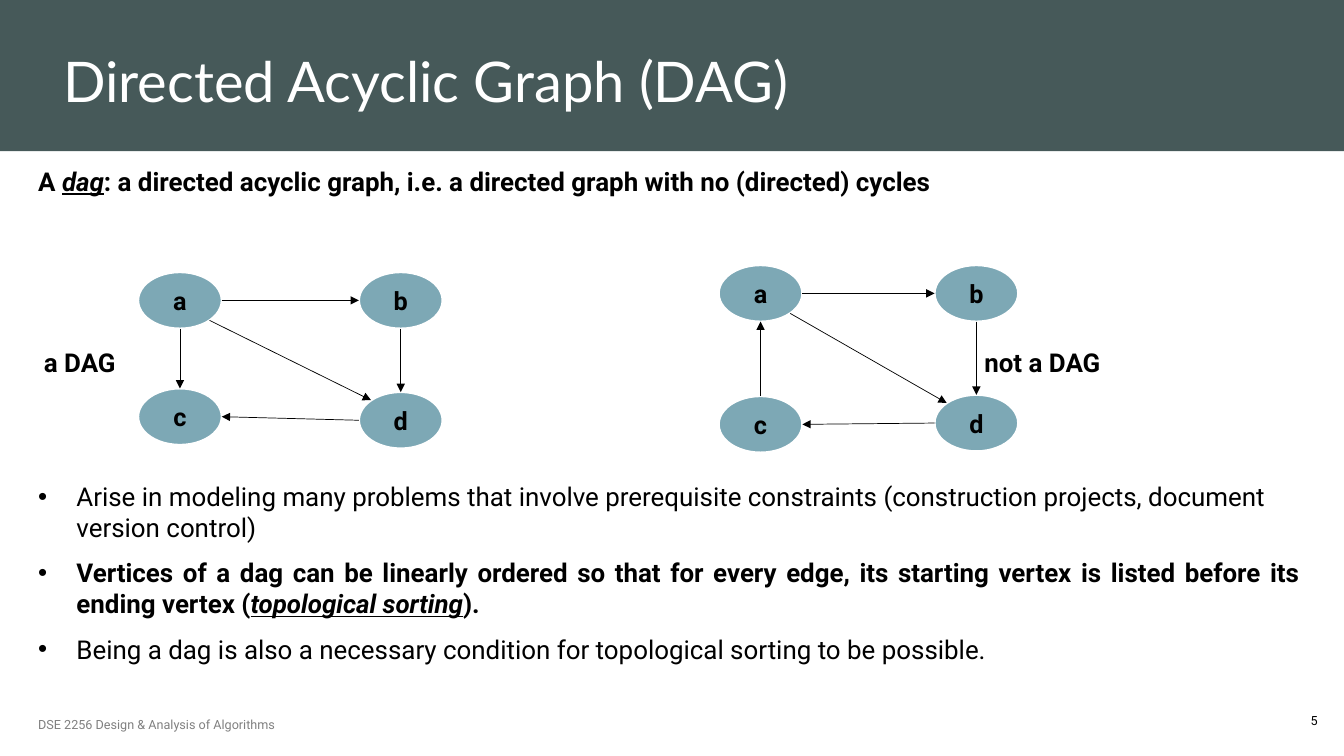
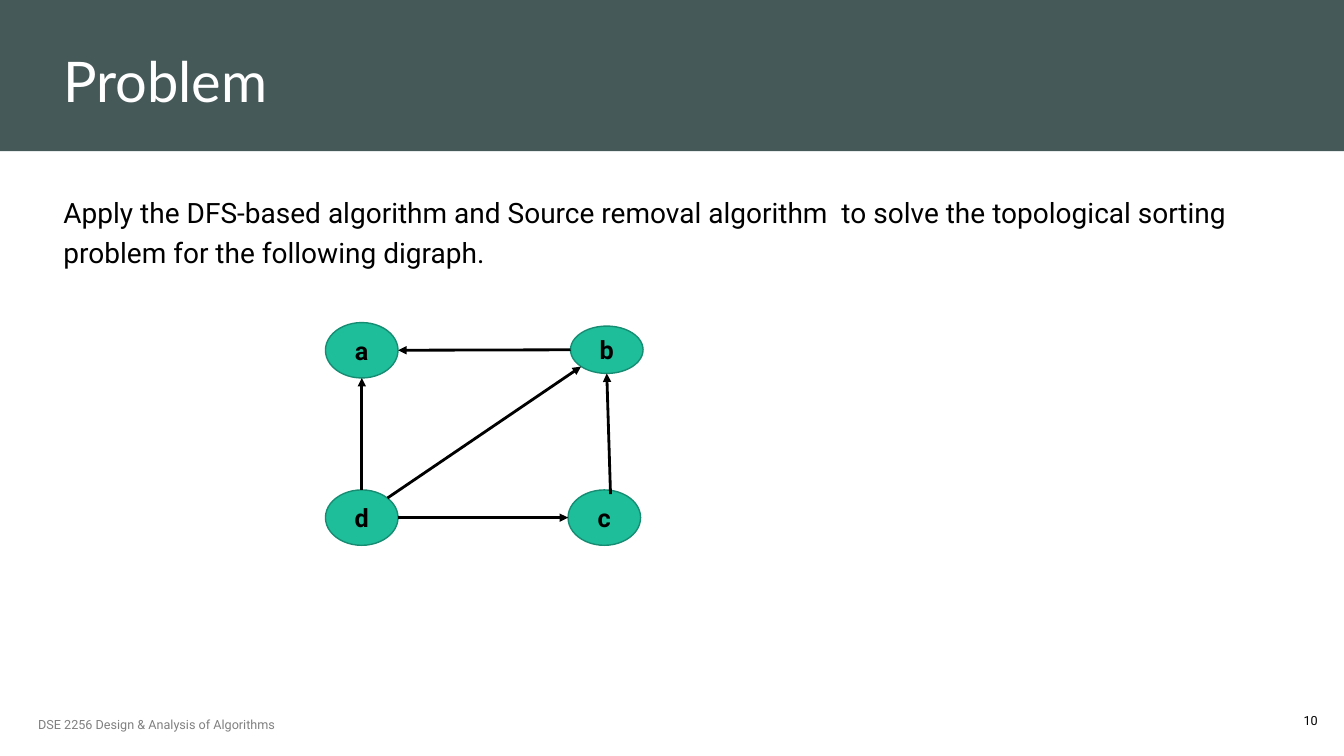
from typing import NamedTuple

from lxml import etree
from pptx import Presentation
from pptx import util as u
from pptx.dml.color import RGBColor
from pptx.enum import shapes, text
from pptx.oxml.ns import qn

WIDE, HIGH = u.Inches(13.33), u.Inches(7.5)

SLATE = RGBColor(0x46, 0x59, 0x59)
WHITE = RGBColor(0xFF, 0xFF, 0xFF)
BLACK = RGBColor(0x00, 0x00, 0x00)
GREY = RGBColor(0x80, 0x80, 0x80)
BLUE = RGBColor(0x7D, 0xA8, 0xB5)
GREEN = RGBColor(0x1E, 0xBE, 0x9B)
PINE = RGBColor(0x16, 0x8D, 0x73)

HEAD, BODY = "Lato", "Roboto"
COURSE = "DSE 2256 Design & Analysis of Algorithms"

LEFT, CENTER, RIGHT, FULL = (
    text.PP_ALIGN.LEFT, text.PP_ALIGN.CENTER,
    text.PP_ALIGN.RIGHT, text.PP_ALIGN.JUSTIFY)
TOP, MID, LOW = (
    text.MSO_ANCHOR.TOP, text.MSO_ANCHOR.MIDDLE, text.MSO_ANCHOR.BOTTOM)

# Points on an oval, as shares of its half width and half height
DIAG = 0.71
SITES = {
    "n": (0, -1), "s": (0, 1), "w": (-1, 0), "e": (1, 0),
    "nw": (-DIAG, -DIAG), "ne": (DIAG, -DIAG),
    "sw": (-DIAG, DIAG), "se": (DIAG, DIAG),
    "nne": (0.17, -0.85),
}


class Box(NamedTuple):
    """Lengths in percent of the slide's width and height."""
    x: float
    y: float
    w: float
    h: float

    def emu(self):
        return (u.Emu(int(self.x * WIDE / 100)), u.Emu(int(self.y * HIGH / 100)),
                u.Emu(int(self.w * WIDE / 100)), u.Emu(int(self.h * HIGH / 100)))

    def inner(self, col, row, w, h):
        """Place a w by h box at shares col and row of the free space."""
        return Box(self.x + col * (self.w - w), self.y + row * (self.h - h), w, h)


class Look(NamedTuple):
    """Style of a graph: node size, fill, outline and edge weight."""
    w: float
    h: float
    fill: RGBColor
    rim: RGBColor
    rim_pt: float
    edge_pt: float


DAG = Look(6.22, 7.47, BLUE, WHITE, 1.5, 0.5)
TASK = Look(5.4, 7.33, GREEN, PINE, 1, 2)


def style(run, size, color=BLACK, face=BODY, marks=""):
    """Format a run; marks holds any of b, i and u."""
    font = run.font
    font.size, font.name = u.Pt(size), face
    font.color.rgb = color
    font.bold, font.italic, font.underline = (m in marks for m in "biu")


def fill_par(par, parts, size, align=LEFT, **kw):
    """Write (text, marks) parts into a paragraph."""
    par.alignment = align
    for words, marks in parts:
        run = par.add_run()
        run.text = words
        style(run, size, marks=marks, **kw)


def add_text(slide, box, parts, size, align=LEFT, anchor=TOP, **kw):
    frame = slide.shapes.add_textbox(*box.emu()).text_frame
    frame.word_wrap = True
    frame.vertical_anchor = anchor
    fill_par(frame.paragraphs[0], parts, size, align, **kw)
    return frame


def add_list(slide, box, items, size):
    """Add a bulleted list of (alignment, parts) items."""
    frame = slide.shapes.add_textbox(*box.emu()).text_frame
    frame.word_wrap = True
    for i, (align, parts) in enumerate(items):
        par = frame.add_paragraph() if i else frame.paragraphs[0]
        fill_par(par, parts, size, align)
        par.space_before = u.Pt(10)
        props = par._p.get_or_add_pPr()
        props.set("marL", str(u.Inches(0.38)))
        props.set("indent", str(-u.Inches(0.38)))
        etree.SubElement(props, qn("a:buFont")).set("typeface", "Arial")
        etree.SubElement(props, qn("a:buChar")).set("char", "•")


def add_node(group, box, name, look):
    oval = group.shapes.add_shape(shapes.MSO_SHAPE.OVAL, *box.emu())
    oval.shadow.inherit = False
    oval.fill.solid()
    oval.fill.fore_color.rgb = look.fill
    oval.line.color.rgb = look.rim
    oval.line.width = u.Pt(look.rim_pt)
    frame = oval.text_frame
    frame.word_wrap = False
    frame.vertical_anchor = MID
    fill_par(frame.paragraphs[0], [(name, "b")], 18, CENTER)
    return oval


def site(oval, key):
    dx, dy = SITES[key]
    return (u.Emu(int(oval.left + oval.width * (1 + dx) / 2)),
            u.Emu(int(oval.top + oval.height * (1 + dy) / 2)))


def add_edge(group, start, end, weight):
    line = group.shapes.add_connector(
        shapes.MSO_CONNECTOR.STRAIGHT, *start, *end)
    line.line.color.rgb = BLACK
    line.line.width = u.Pt(weight)
    etree.SubElement(line.line._get_or_add_ln(), qn("a:tailEnd")).set(
        "type", "triangle")
    etree.SubElement(line._element.spPr, qn("a:effectLst"))


def add_graph(slide, box, nodes, edges, look):
    """Draw nodes {name: (col, row[, height])} and edges like 'a.e b.w'."""
    group = slide.shapes.add_group_shape()
    ovals = {}
    for name, (col, row, *tall) in nodes.items():
        spot = box.inner(col, row, look.w, tall[0] if tall else look.h)
        ovals[name] = add_node(group, spot, name, look)
    for edge in edges:
        start, end = (site(ovals[name], key) for name, key in
                      (tip.split(".") for tip in edge.split()))
        add_edge(group, start, end, look.edge_pt)


def add_base(prs, title, number):
    """Add a slide with the title band, footer and slide number."""
    slide = prs.slides.add_slide(prs.slide_layouts[6])
    band = slide.shapes.add_shape(
        shapes.MSO_SHAPE.RECTANGLE, *Box(0, 0, 100, 20).emu())
    band.shadow.inherit = False
    band.fill.solid()
    band.fill.fore_color.rgb = SLATE
    band.line.fill.background()
    add_text(slide, Box(3.98, 3.47, 89.2, 12.27), [(title, "")], 40,
             anchor=LOW, color=WHITE, face=HEAD)
    add_text(slide, Box(88.28, 92.67, 10.5, 5.33), [(str(number), "")], 9,
             RIGHT, MID)
    add_text(slide, Box(2.1, 93.2, 33.75, 5.33), [(COURSE, "")], 9,
             anchor=MID, color=GREY)
    return slide


def dag_slide(prs):
    slide = add_base(prs, "Directed Acyclic Graph (DAG)", 5)
    add_text(slide, Box(2.1, 21.2, 95.33, 6), [
        ("A ", "b"), ("dag", "biu"),
        (": a directed acyclic graph, i.e. a directed graph with no"
         " (directed) cycles", "b")], 18.5)
    for x, label in ((2.53, "a DAG"), (72.5, "not a DAG")):
        add_text(slide, Box(x, 45.2, 12, 5.33), [(label, "b")], 18.5, anchor=MID)

    shared = ["a.e b.w", "a.se d.nw", "b.s d.n", "d.w c.e"]
    add_graph(slide, Box(10.28, 36, 22.65, 23.33),
              {"a": (0, 0), "b": (1, 0), "c": (0, 0.97), "d": (1, 1)},
              shared + ["a.s c.n"], DAG)
    add_graph(slide, Box(53.48, 35.07, 22.28, 24.8),
              {"a": (0, 0), "b": (1, 0), "c": (0, 1), "d": (1, 0.99)},
              shared + ["c.n a.s"], DAG)

    add_list(slide, Box(2.1, 62.93, 95.33, 30), [
        (LEFT, [("Arise in modeling many problems that involve prerequisite"
                 " constraints (construction projects, document version"
                 " control)", "")]),
        (FULL, [("Vertices of a dag can be linearly ordered so that for every"
                 " edge, its starting vertex is listed before its ending"
                 " vertex (", "b"),
                ("topological sorting", "biu"), (").", "b")]),
        (FULL, [("Being a dag is also a necessary condition for topological"
                 " sorting to be possible.", "")]),
    ], 18.5)


def task_slide(prs):
    slide = add_base(prs, "Problem", 10)
    frame = add_text(slide, Box(3.98, 24.27, 89.2, 14), [
        ("Apply the DFS-based algorithm and Source removal algorithm  to solve"
         " the topological sorting problem for the following digraph.", "")], 20)
    par = frame.paragraphs[0]
    par.line_spacing = 1.2
    par.space_before = u.Pt(10)
    add_graph(slide, Box(24.22, 42.67, 23.63, 29.47),
              {"a": (0, 0), "b": (1, 0.02, 6.27), "c": (0.99, 1), "d": (0, 1)},
              ["b.w a.e", "d.n a.s", "d.ne b.sw", "d.e c.w", "c.nne b.s"], TASK)


def main():
    prs = Presentation()
    prs.slide_width, prs.slide_height = WIDE, HIGH
    dag_slide(prs)
    task_slide(prs)
    prs.save("out.pptx")


if __name__ == "__main__":
    main()
